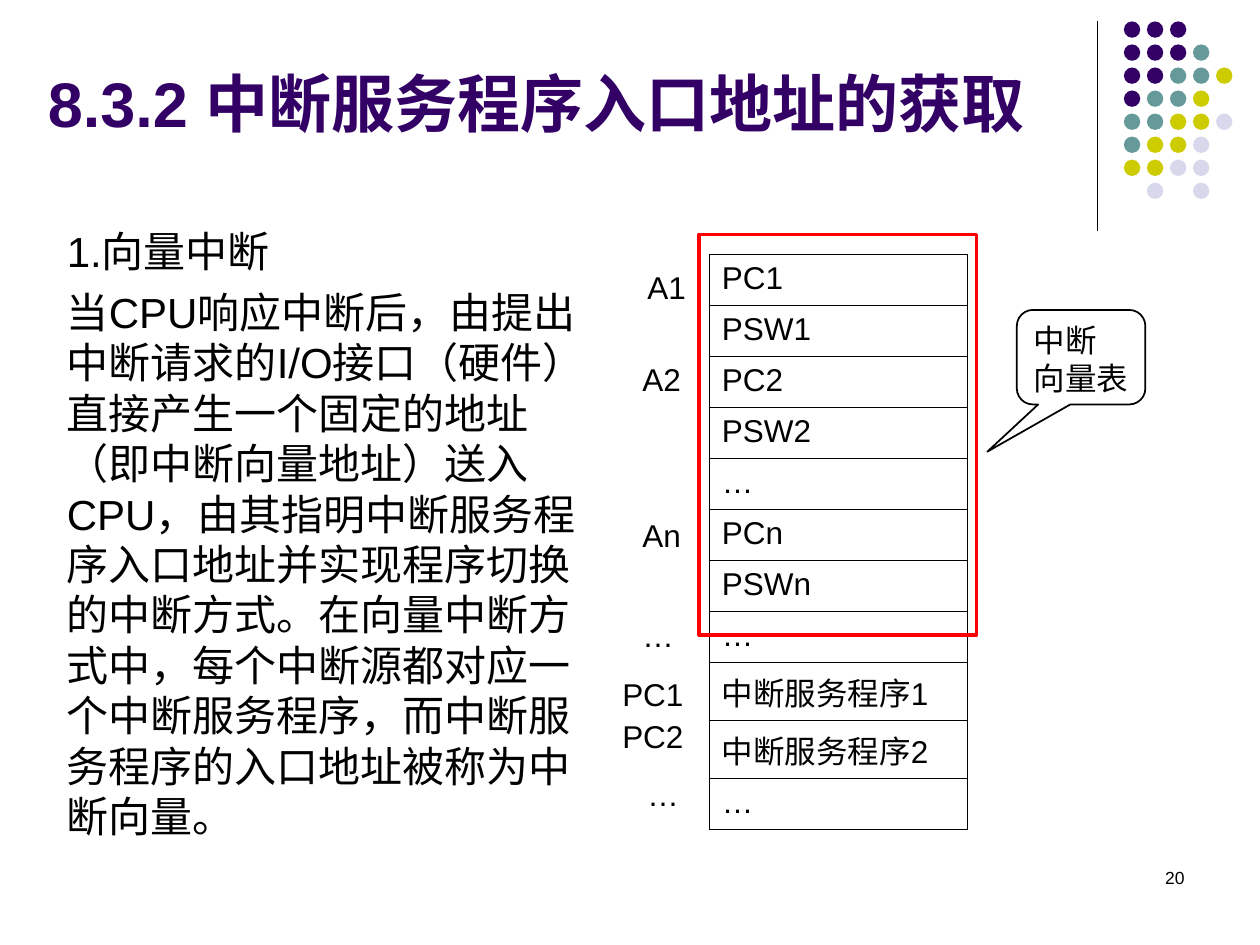
from lxml import etree
from pptx import Presentation
from pptx.dml.color import RGBColor
from pptx.enum import shapes, text
from pptx.oxml import ns
from pptx.util import Inches, Pt

BLACK = RGBColor(0, 0, 0)
RED = RGBColor(0xFF, 0, 0)
PURPLE = RGBColor(0x33, 0, 0x66)
TEAL = RGBColor(0x66, 0x99, 0x99)
OLIVE = RGBColor(0xCC, 0xCC, 0)
LAVENDER = RGBColor(0xD8, 0xD8, 0xEC)

# One letter per dot colour, a space for a gap
DOT_COLOURS = {"P": PURPLE, "T": TEAL, "O": OLIVE, "L": LAVENDER}
DOT_ROWS = ["PPP", "PPPT", "PPTTO", "PTTO", "TTOOL", "TOOL", "OOLL", " L L"]

BODY = [
    "1.向量中断",
    "当CPU响应中断后，由提出中断请求的I/O接口（硬件）直接产生一个固定的地址"
    "（即中断向量地址）送入CPU，由其指明中断服务程序入口地址并实现程序切换的"
    "中断方式。在向量中断方式中，每个中断源都对应一个中断服务程序，而中断服务"
    "程序的入口地址被称为中断向量。",
]
MEMORY = ["PC1", "PSW1", "PC2", "PSW2", "…", "PCn", "PSWn", "…",
          "中断服务程序1", "中断服务程序2", "…"]
ADDRESSES = [
    ("A1", 5.04, 2.08, 0.55), ("A2", 5, 2.81, 0.55), ("An", 5, 4.05, 0.55),
    ("…", 5, 4.84, 0.55), ("PC1", 4.84, 5.31, 0.75),
    ("PC2", 4.84, 5.64, 0.75), ("…", 5.04, 6.1, 0.75),
]


def box(left, top, width, height):
    return [Inches(length) for length in (left, top, width, height)]


def write(frame, lines, size=18, colour=BLACK, bold=False,
          align=text.PP_ALIGN.LEFT, anchor=text.MSO_ANCHOR.TOP, wrap=True):
    frame.word_wrap = wrap
    frame.vertical_anchor = anchor
    for index, line in enumerate(lines):
        paragraph = frame.paragraphs[0] if index == 0 else frame.add_paragraph()
        paragraph.alignment = align
        run = paragraph.add_run()
        run.text = line
        font = run.font
        font.name, font.size, font.bold = "Arial", Pt(size), bold
        font.color.rgb = colour


def place(shape, left, top, width, height):
    shape.left, shape.top, shape.width, shape.height = box(left, top, width, height)
    shape.text_frame.auto_size = text.MSO_AUTO_SIZE.NONE


def add_label(slide, words, left, top, width, height=0.4, **style):
    label = slide.shapes.add_textbox(*box(left, top, width, height))
    write(label.text_frame, [words], **style)


def add_preset(slide, kind, bounds, fill=None, line=None, weight=1):
    shape = slide.shapes.add_shape(kind, *box(*bounds))
    shape.shadow.inherit = False
    if fill is None:
        shape.fill.background()
    else:
        shape.fill.solid()
        shape.fill.fore_color.rgb = fill
    if line is None:
        shape.line.fill.background()
    else:
        shape.line.color.rgb = line
        shape.line.width = Pt(weight)
    return shape


def add_corner_decoration(slide):
    rule = slide.shapes.add_connector(
        shapes.MSO_CONNECTOR.STRAIGHT, *box(8.71, 0.17, 8.71, 1.83))
    rule.line.color.rgb = BLACK
    rule.line.width = Pt(0.75)
    etree.SubElement(rule._element.spPr, ns.qn("a:effectLst"))
    pitch = 1.28 / 7
    for row, dots in enumerate(DOT_ROWS):
        for column, letter in enumerate(dots):
            if letter != " ":
                bounds = (8.92 + column * pitch, 0.17 + row * pitch, 0.13, 0.13)
                add_preset(slide, shapes.MSO_SHAPE.OVAL, bounds,
                           fill=DOT_COLOURS[letter])


def fill_placeholders(slide):
    title, body = slide.placeholders[0], slide.placeholders[1]
    place(title, 0.28, 0.29, 8.35, 0.87)
    write(title.text_frame, ["8.3.2 中断服务程序入口地址的获取"], size=36,
          colour=PURPLE, bold=True, anchor=text.MSO_ANCHOR.BOTTOM)
    place(body, 0.43, 1.74, 4.41, 5.04)
    write(body.text_frame, BODY, size=24)
    for paragraph in body.text_frame.paragraphs:
        paragraph.space_before = Pt(6)
        properties = paragraph._p.get_or_add_pPr()
        properties.set("marL", "0")
        properties.set("indent", "0")
        etree.SubElement(properties, ns.qn("a:buNone"))


def add_borders(cell):
    properties = cell._tc.get_or_add_tcPr()
    for edge in ("lnL", "lnR", "lnT", "lnB"):
        line = etree.SubElement(properties, ns.qn("a:" + edge), w=str(Pt(1)))
        solid = etree.SubElement(line, ns.qn("a:solidFill"))
        etree.SubElement(solid, ns.qn("a:srgbClr"), val=str(BLACK))


def add_memory_table(slide):
    frame = slide.shapes.add_table(len(MEMORY), 1, *box(5.63, 2.02, 2.05, 4.46))
    table = frame.table
    table.first_row = table.horz_banding = False
    for index, words in enumerate(MEMORY):
        is_routine = words.startswith("中断")
        table.rows[index].height = Inches(0.46 if is_routine else 0.405)
        cell = table.cell(index, 0)
        write(cell.text_frame, [words])
        cell.vertical_anchor = (text.MSO_ANCHOR.MIDDLE if is_routine
                                else text.MSO_ANCHOR.TOP)
        add_borders(cell)
        cell.fill.background()


def add_vector_table_marks(slide):
    add_preset(slide, shapes.MSO_SHAPE.RECTANGLE, (5.55, 1.86, 2.2, 3.18),
               line=RED, weight=2)
    callout = add_preset(slide, shapes.MSO_SHAPE.ROUNDED_RECTANGULAR_CALLOUT,
                         (8.07, 2.46, 1.02, 0.75), line=BLACK)
    for index, value in enumerate((-0.73, 1, 0.17)):
        callout.adjustments[index] = value
    write(callout.text_frame, ["中断", "向量表"], wrap=False)


def main():
    presentation = Presentation()
    presentation.slide_width, presentation.slide_height = Inches(10), Inches(7.5)
    slide = presentation.slides.add_slide(presentation.slide_layouts[1])
    add_corner_decoration(slide)
    # Slide number
    add_label(slide, "20", 7.17, 6.83, 2.33, 0.5, size=10,
              align=text.PP_ALIGN.RIGHT)
    fill_placeholders(slide)
    # Memory layout with its addresses
    add_memory_table(slide)
    for words, left, top, width in ADDRESSES:
        add_label(slide, words, left, top, width)
    add_vector_table_marks(slide)
    presentation.save("out.pptx")


if __name__ == "__main__":
    main()
